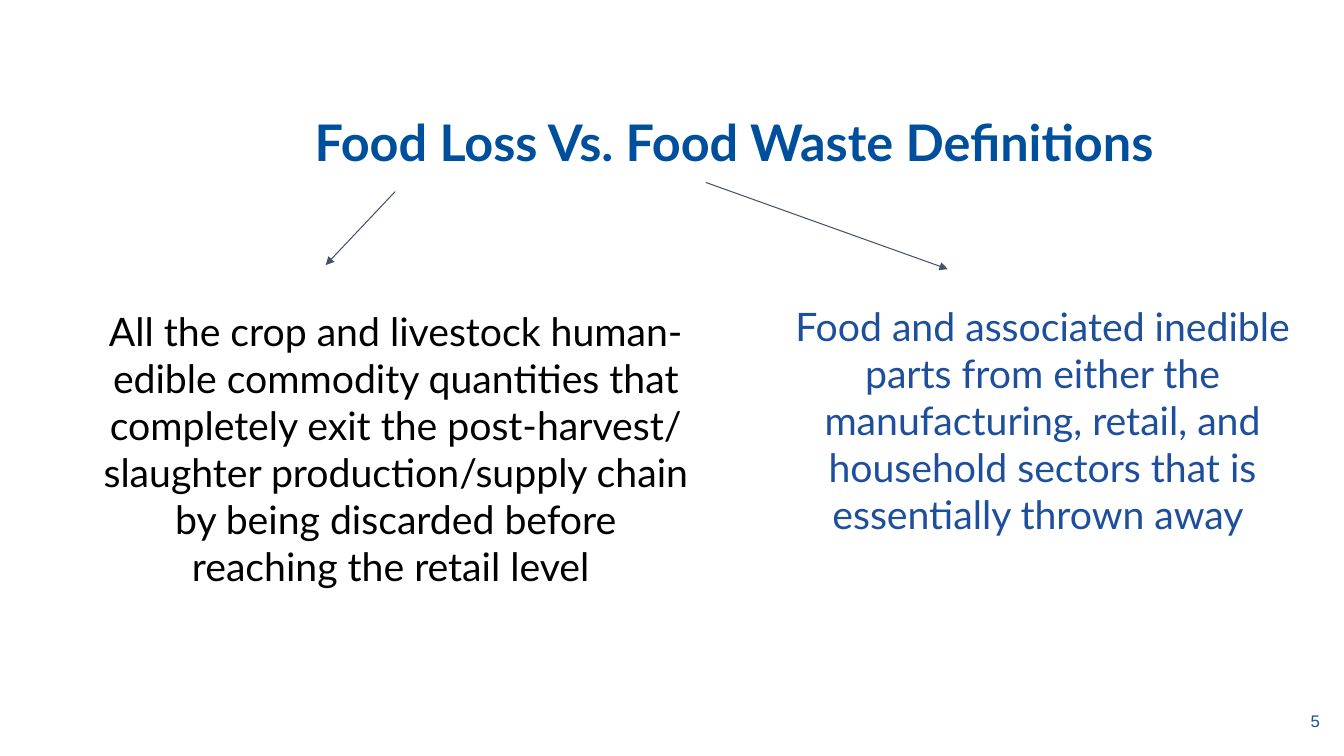
from dataclasses import dataclass

from lxml import etree
from pptx import Presentation
from pptx import util as u
from pptx.dml.color import RGBColor
from pptx.enum import shapes, text
from pptx.oxml.ns import qn


@dataclass(frozen=True)
class Theme:
    font: str = "Lato"
    plain: str = "Arial"
    title: str = "004F9D"
    blue: str = "1D4F9D"
    black: str = "000000"
    line: str = "44546A"
    head: int = 36
    body: int = 28
    small: int = 12


def place(shape, box):
    shape.left, shape.top, shape.width, shape.height = map(u.Inches, box)


def write(shape, words, *, size, color, font, bold=False, align="LEFT",
          anchor="TOP", pad=0.05, space=1.0):
    frame = shape.text_frame
    frame.word_wrap = True
    frame.auto_size = text.MSO_AUTO_SIZE.NONE
    frame.vertical_anchor = text.MSO_ANCHOR[anchor]
    frame.margin_left = frame.margin_right = u.Inches(0.1)
    frame.margin_top = frame.margin_bottom = u.Inches(pad)
    frame.text = words
    par = frame.paragraphs[0]
    par.alignment = text.PP_ALIGN[align]
    par.line_spacing = space
    par.space_before = u.Pt(0)
    props = par._p.get_or_add_pPr()
    props.set("marL", "0")
    props.set("indent", "0")
    etree.SubElement(props, qn("a:buNone"))
    face = par.runs[0].font
    face.name, face.size, face.bold = font, u.Pt(size), bold
    face.color.rgb = RGBColor.from_string(color)


class Deck:
    def __init__(self, theme):
        self.theme = theme
        self.file = Presentation()
        self.file.slide_width = u.Inches(13.33)
        self.file.slide_height = u.Inches(7.5)
        self.slide = self.file.slides.add_slide(self.file.slide_layouts[3])

    def title(self, words, box):
        shape = self.slide.shapes.title
        place(shape, box)
        write(shape, words, size=self.theme.head, color=self.theme.title,
              font=self.theme.font, bold=True, space=0.9)

    def body(self, slot, words, box, color, pad):
        shape = self.slide.placeholders[slot]
        place(shape, box)
        write(shape, words, size=self.theme.body, color=color,
              font=self.theme.font, align="CENTER", pad=pad)

    def number(self, words, box):
        shape = self.slide.shapes.add_textbox(*map(u.Inches, box))
        write(shape, words, size=self.theme.small, color=self.theme.blue,
              font=self.theme.plain, align="RIGHT", anchor="MIDDLE")

    def arrow(self, start, end):
        link = self.slide.shapes.add_connector(
            shapes.MSO_CONNECTOR.STRAIGHT, *map(u.Inches, start + end))
        link.line.width = u.Pt(0.75)
        link.line.color.rgb = RGBColor.from_string(self.theme.line)
        etree.SubElement(link.line._get_or_add_ln(), qn("a:tailEnd"),
                         type="triangle")
        etree.SubElement(link._element.spPr, qn("a:effectLst"))


def main():
    theme = Theme()
    deck = Deck(theme)
    deck.title("Food Loss Vs. Food Waste Definitions", (3.02, 1.12, 9.76, 0.87))
    deck.body(1, "All the crop and livestock human-edible commodity quantities "
              "that completely exit the post-harvest/ slaughter "
              "production/supply chain by being discarded before reaching "
              "the retail level ", (0.91, 2.95, 6.03, 3.5), theme.black, 0.1)
    deck.body(2, "Food and associated inedible parts from either the "
              "manufacturing, retail, and household sectors that is "
              "essentially thrown away ", (7.76, 2.95, 5.16, 3.29),
              theme.blue, 0.05)
    deck.number("5", (10.19, 6.95, 3, 0.4))
    deck.arrow((3.92, 1.9), (3.23, 2.63))
    deck.arrow((7, 1.81), (9.4, 2.67))
    deck.file.save("out.pptx")


if __name__ == "__main__":
    main()
